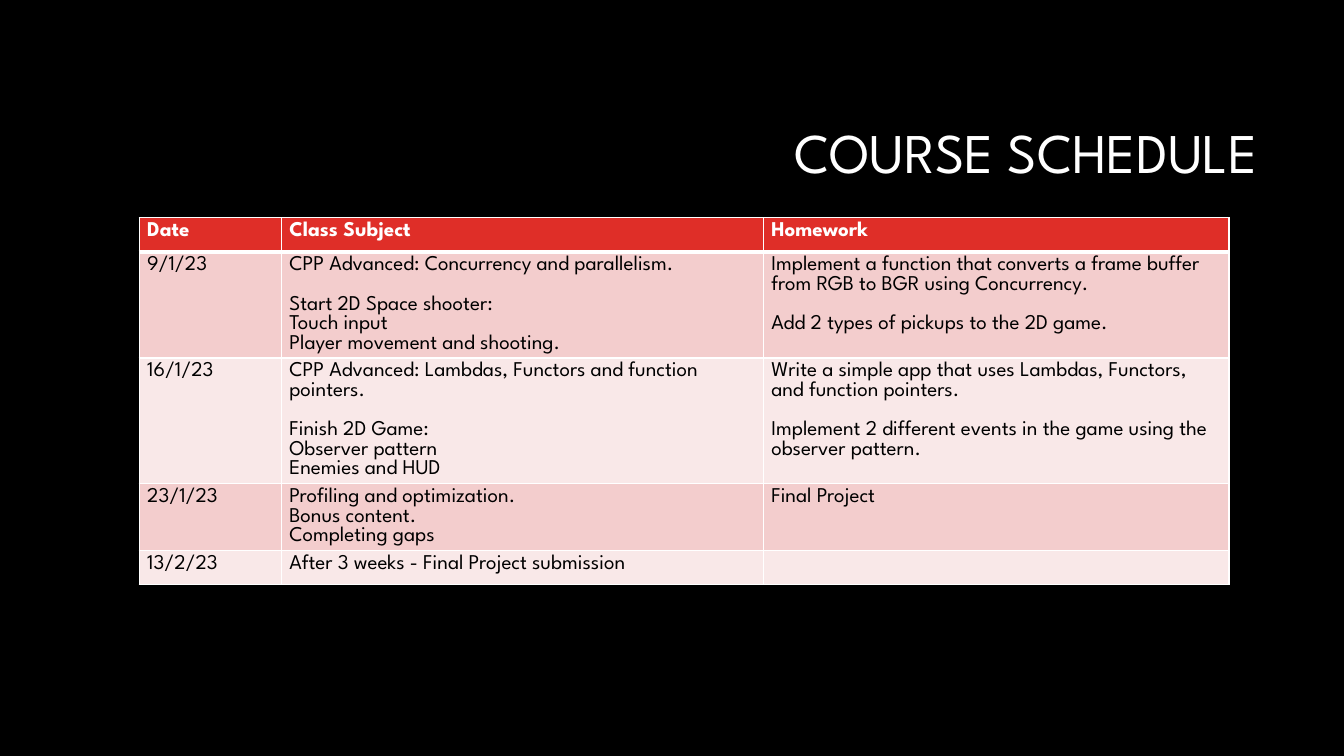
from lxml import etree
from pptx import Presentation
from pptx.dml.color import RGBColor
from pptx.enum.text import MSO_ANCHOR, PP_ALIGN
from pptx.oxml.ns import qn
from pptx.util import Inches, Pt

MIDDLE = MSO_ANCHOR.MIDDLE
RIGHT = PP_ALIGN.RIGHT

# Content: each cell is a list of blocks, each block a list of lines
TITLE = "COURSE SCHEDULE"
SCHEDULE = [
    ([["Date"]], [["Class Subject"]], [["Homework"]]),
    (
        [["9/1/23"]],
        [["CPP Advanced: Concurrency and parallelism."],
         ["Start 2D Space shooter:", "Touch input", "Player movement and shooting."]],
        [["Implement a function that converts a frame buffer from RGB to BGR using Concurrency."],
         ["Add 2 types of pickups to the 2D game."]],
    ),
    (
        [["16/1/23"]],
        [["CPP Advanced: Lambdas, Functors and function pointers."],
         ["Finish 2D Game:", "Observer pattern", "Enemies and HUD"]],
        [["Write a simple app that uses Lambdas, Functors, and function pointers."],
         ["Implement 2 different events in the game using the observer pattern."]],
    ),
    (
        [["23/1/23"]],
        [["Profiling and optimization.", "Bonus content.", "Completing gaps"]],
        [["Final Project"]],
    ),
    ([["13/2/23"]], [["After 3 weeks - Final Project submission"]], []),
]

# Style
FONT = "League Spartan"
BLACK, WHITE, RED = "000000", "FFFFFF", "DF2E28"
BANDS = ["F3CDCD", "F9E8E8"]
COLUMN_WIDTHS = [1.41, 4.78, 4.62]
ROW_HEIGHT = 0.34
CELL_SIZE = 15
LINE_HEIGHT = 14


def color(hex_string):
    return RGBColor.from_string(hex_string)


def style_span(span, size, hex_string, bold=False):
    span.font.name = FONT
    span.font.size = Pt(size)
    span.font.bold = bold
    span.font.color.rgb = color(hex_string)


def add_border(cell, side, width):
    line = etree.SubElement(cell._tc.get_or_add_tcPr(), qn(f"a:ln{side}"), w=str(Pt(width)))
    fill = etree.SubElement(line, qn("a:solidFill"))
    etree.SubElement(fill, qn("a:srgbClr"), val=WHITE)


def fill_cell(cell, blocks, row):
    header = row == 0
    cell.margin_left = cell.margin_right = Inches(0.08)
    cell.margin_top = cell.margin_bottom = Inches(0.04)

    # Thin borders, with a thick rule under the header
    for side in "LRTB":
        add_border(cell, side, 3 if header and side == "B" else 1)
    cell.fill.solid()
    cell.fill.fore_color.rgb = color(RED if header else BANDS[(row - 1) % 2])

    # Text, with a gap of one line before every block but the first
    frame = cell.text_frame
    frame.text = "\n".join(line for block in blocks for line in block)
    starts = [sum(map(len, blocks[:i])) for i in range(1, len(blocks))]
    for index, para in enumerate(frame.paragraphs):
        para.line_spacing = Pt(LINE_HEIGHT)
        if index in starts:
            para.space_before = Pt(LINE_HEIGHT)
        for span in para.runs:
            style_span(span, CELL_SIZE, WHITE if header else BLACK, header)

    # An empty cell needs the text size too, or its row grows
    if not blocks:
        end = etree.SubElement(frame.paragraphs[0]._p, qn("a:endParaRPr"), sz=str(CELL_SIZE * 100))
        etree.SubElement(end, qn("a:latin"), typeface=FONT)


deck = Presentation()
deck.slide_width, deck.slide_height = Inches(13.33), Inches(7.5)
page = deck.slides.add_slide(deck.slide_layouts[6])
page.background.fill.solid()
page.background.fill.fore_color.rgb = color(BLACK)

# Title
title_box = page.shapes.add_textbox(Inches(3.15), Inches(0.84), Inches(9.42), Inches(1.41))
title_frame = title_box.text_frame
title_frame.word_wrap = True
title_frame.vertical_anchor = MIDDLE
title_frame.text = TITLE
title_para = title_frame.paragraphs[0]
title_para.alignment = RIGHT
title_para.line_spacing = 0.9
style_span(title_para.runs[0], 40, WHITE)

# Schedule table
table = page.shapes.add_table(
    len(SCHEDULE), len(COLUMN_WIDTHS), Inches(1.38), Inches(2.16),
    Inches(sum(COLUMN_WIDTHS)), Inches(ROW_HEIGHT * len(SCHEDULE)),
).table
for column, width in zip(table.columns, COLUMN_WIDTHS):
    column.width = Inches(width)
for row, entries in enumerate(SCHEDULE):
    table.rows[row].height = Inches(ROW_HEIGHT)
    for column, blocks in enumerate(entries):
        fill_cell(table.cell(row, column), blocks, row)

deck.save("out.pptx")
